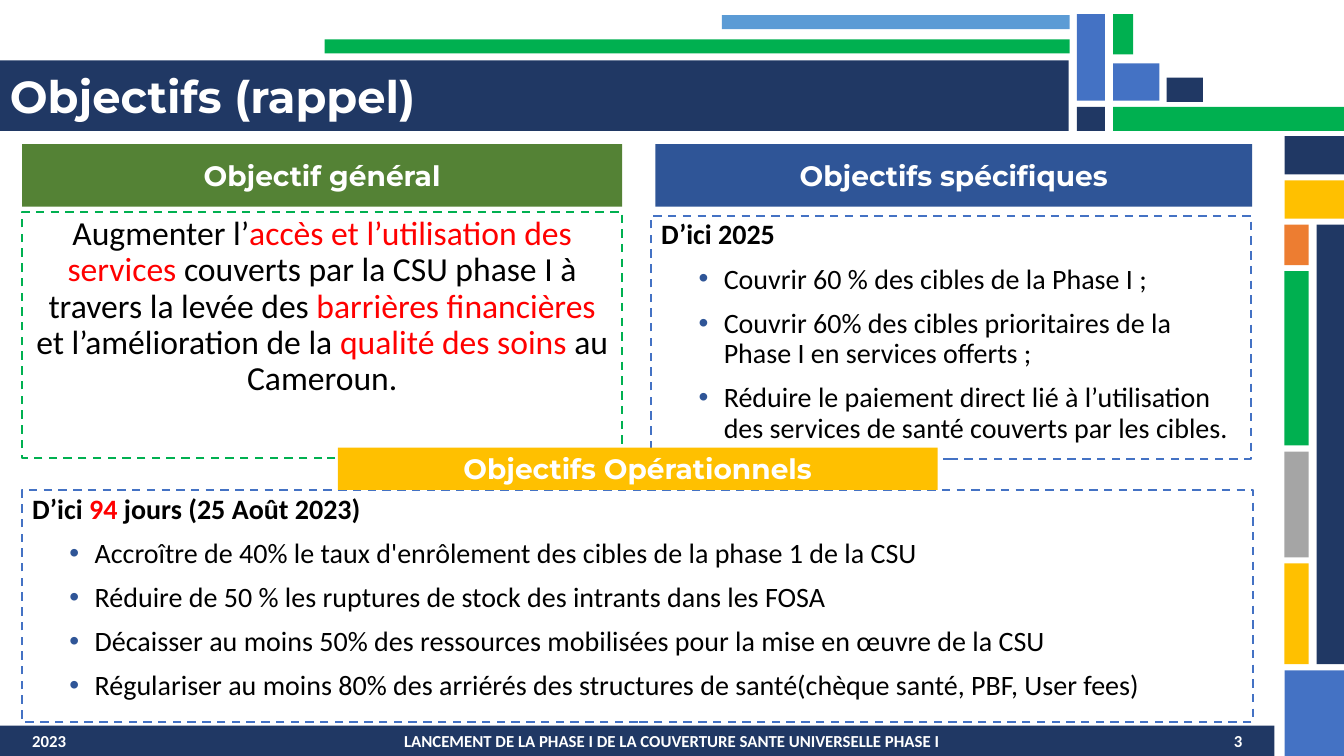
from dataclasses import dataclass
from typing import Optional

import pptx
import pptx.dml.color
import pptx.enum.dml
import pptx.enum.shapes
import pptx.enum.text
import pptx.oxml.ns
import pptx.util
from lxml import etree

Inches = pptx.util.Inches
ALIGN = pptx.enum.text.PP_ALIGN
ANCHOR = pptx.enum.text.MSO_ANCHOR


@dataclass(frozen=True)
class Theme:
    navy: str = "203864"
    blue: str = "4472C4"
    sky: str = "5B9BD5"
    deep: str = "2F5597"
    green: str = "00B050"
    moss: str = "548235"
    gold: str = "FFC000"
    rust: str = "ED7D31"
    gray: str = "A5A5A5"
    white: str = "FFFFFF"
    black: str = "000000"
    red: str = "FF0000"
    head: str = "Montserrat"
    body: str = "Calibri"
    title: int = 32
    lead: int = 24
    text: int = 20
    foot: int = 12


THEME = Theme()


@dataclass
class Tile:
    left: float
    top: float
    width: float
    height: float
    fill: Optional[str] = None
    line: Optional[str] = None


@dataclass
class Label:
    """A tile holding one line of bold white text."""
    tile: Tile
    text: str
    size: int
    font: str
    align: ALIGN


@dataclass
class Panel:
    """A dashed frame; every second piece of its lead is red."""
    tile: Tile
    lead: list[str]
    items: list[str]
    size: int = THEME.text
    bold: bool = True
    align: ALIGN = ALIGN.LEFT


def rgb(code: str) -> pptx.dml.color.RGBColor:
    return pptx.dml.color.RGBColor.from_string(code)


def draw_tile(slide, tile: Tile):
    place = [Inches(n) for n in (tile.left, tile.top, tile.width, tile.height)]
    if not (tile.fill or tile.line):
        return slide.shapes.add_textbox(*place)
    shape = slide.shapes.add_shape(pptx.enum.shapes.MSO_SHAPE.RECTANGLE, *place)
    shape.shadow.inherit = False
    if tile.fill:
        shape.fill.solid()
        shape.fill.fore_color.rgb = rgb(tile.fill)
    else:
        shape.fill.background()
    if tile.line:
        shape.line.color.rgb = rgb(tile.line)
        shape.line.width = pptx.util.Pt(1.5)
        shape.line.dash_style = pptx.enum.dml.MSO_LINE.DASH
    else:
        shape.line.fill.background()
    return shape


def add_mark(para) -> None:
    """Give the paragraph a hanging bullet."""
    props = para._p.get_or_add_pPr()
    props.set("marL", str(Inches(0.62)))
    props.set("indent", str(Inches(-0.25)))
    name = pptx.oxml.ns.qn
    tint = etree.SubElement(props, name("a:buClr"))
    etree.SubElement(tint, name("a:srgbClr"), val=THEME.deep)
    etree.SubElement(props, name("a:buFont"), typeface="Arial")
    etree.SubElement(props, name("a:buChar"), char="•")


def write(para, pieces: list[str], *, size: int, font: str, bold: bool,
          align: ALIGN, tints: tuple[str, ...], mark: bool = False,
          lines: Optional[float] = None) -> None:
    """Fill the paragraph, using the tints in turn for its pieces."""
    if mark:
        add_mark(para)
        para.space_before = pptx.util.Pt(10)
    para.alignment = align
    if lines:
        para.line_spacing = lines
    for i, piece in enumerate(pieces):
        run = para.add_run()
        run.text = piece
        run.font.size = pptx.util.Pt(size)
        run.font.name = font
        run.font.bold = bold
        run.font.color.rgb = rgb(tints[i % len(tints)])


def draw_label(slide, label: Label) -> None:
    frame = draw_tile(slide, label.tile).text_frame
    frame.word_wrap = True
    frame.vertical_anchor = ANCHOR.MIDDLE
    write(frame.paragraphs[0], [label.text], size=label.size, font=label.font,
          bold=True, align=label.align, tints=(THEME.white,))


def draw_panel(slide, panel: Panel) -> None:
    frame = draw_tile(slide, panel.tile).text_frame
    frame.word_wrap = True
    frame.vertical_anchor = ANCHOR.TOP
    write(frame.paragraphs[0], panel.lead, size=panel.size, font=THEME.body,
          bold=panel.bold, align=panel.align, lines=0.9,
          tints=(THEME.black, THEME.red))
    for item in panel.items:
        write(frame.add_paragraph(), [item], size=panel.size, font=THEME.body,
              bold=False, align=panel.align, lines=0.9,
              tints=(THEME.black,), mark=True)


def side_tiles() -> list[Tile]:
    """Stack the right-hand column with equal gaps."""
    slim, wide, top, gap = 0.24, 0.59, 1.35, 0.06
    tiles = []
    for width, height, fill in (
            (wide, 0.38, THEME.navy), (wide, 0.38, THEME.gold),
            (slim, 0.4, THEME.rust), (slim, 1.73, THEME.green),
            (slim, 1.05, THEME.gray), (slim, 1, THEME.gold),
            (wide, 0.85, THEME.blue)):
        tiles.append(Tile(12.74, top, width, height, fill))
        top += height + gap
    return tiles


TOP_TILES = [
    Tile(11.04, 1.06, 2.29, 0.24, THEME.green),
    Tile(13.06, 2.23, 0.27, 4.36, THEME.navy),
    Tile(11.04, 0.63, 0.46, 0.37, THEME.blue),
    Tile(10.68, 1.06, 0.28, 0.24, THEME.navy),
    Tile(10.68, 0.14, 0.28, 0.86, THEME.blue),
    Tile(11.04, 0.14, 0.2, 0.4, THEME.green),
    Tile(3.22, 0.39, 7.39, 0.14, THEME.green),
    Tile(7.16, 0.15, 3.45, 0.14, THEME.sky),
    Tile(11.57, 0.77, 0.36, 0.24, THEME.navy),
    Tile(0, 7.2, 12.64, 0.3, THEME.navy),
]

TITLE = Label(Tile(0, 0.6, 10.6, 0.7, THEME.navy), "Objectifs (rappel)",
              THEME.title, THEME.head, ALIGN.LEFT)

FEET = [Label(Tile(left, 7.2, width, 0.3), text, THEME.foot, THEME.body, align)
        for left, width, text, align in (
            (0.22, 1.9, "2023", ALIGN.LEFT),
            (3.04, 7.25, "LANCEMENT DE LA PHASE I DE LA COUVERTURE SANTE "
             "UNIVERSELLE PHASE I", ALIGN.CENTER),
            (10.68, 1.74, "3", ALIGN.RIGHT))]

PANELS = [
    Panel(Tile(0.22, 2.1, 5.95, 2.44, line=THEME.green),
          ["Augmenter l’", "accès et l’utilisation des services ",
           "couverts par la CSU phase I à travers la levée des ",
           "barrières financières ", "et l’amélioration de la ",
           "qualité des soins ", "au Cameroun."],
          [], THEME.lead, False, ALIGN.CENTER),
    Panel(Tile(6.46, 2.14, 5.95, 2.41, line=THEME.blue), ["D’ici 2025"],
          ["Couvrir 60 % des cibles de la Phase I ;",
           "Couvrir 60% des cibles prioritaires de la Phase I en services offerts ;",
           "Réduire le paiement direct lié à l’utilisation des services de santé "
           "couverts par les cibles."]),
    Panel(Tile(0.22, 4.86, 12.21, 2.3, line=THEME.blue),
          ["D’ici ", "94", " jours (25 Août 2023)"],
          ["Accroître de 40% le taux d'enrôlement des cibles de la phase 1 de la CSU",
           "Réduire de 50 % les ruptures de stock des intrants dans les FOSA",
           "Décaisser au moins 50% des ressources mobilisées pour la mise en œuvre "
           "de la CSU",
           "Régulariser au moins 80% des arriérés des structures de santé"
           "(chèque santé, PBF, User fees)"]),
]

HEADS = [Label(tile, text, THEME.text, THEME.head, ALIGN.CENTER)
         for tile, text in (
             (Tile(0.22, 1.43, 5.95, 0.62, THEME.moss), "Objectif général"),
             (Tile(6.5, 1.43, 5.92, 0.62, THEME.deep), "Objectifs spécifiques"),
             (Tile(3.35, 4.44, 5.95, 0.42, THEME.gold), "Objectifs Opérationnels"))]


def main() -> None:
    deck = pptx.Presentation()
    deck.slide_width, deck.slide_height = Inches(13.33), Inches(7.5)
    slide = deck.slides.add_slide(deck.slide_layouts[6])
    for tile in TOP_TILES + side_tiles():
        draw_tile(slide, tile)
    for label in [TITLE, *FEET]:
        draw_label(slide, label)
    for panel in PANELS:
        draw_panel(slide, panel)
    for label in HEADS:
        draw_label(slide, label)
    deck.save("out.pptx")


if __name__ == "__main__":
    main()
